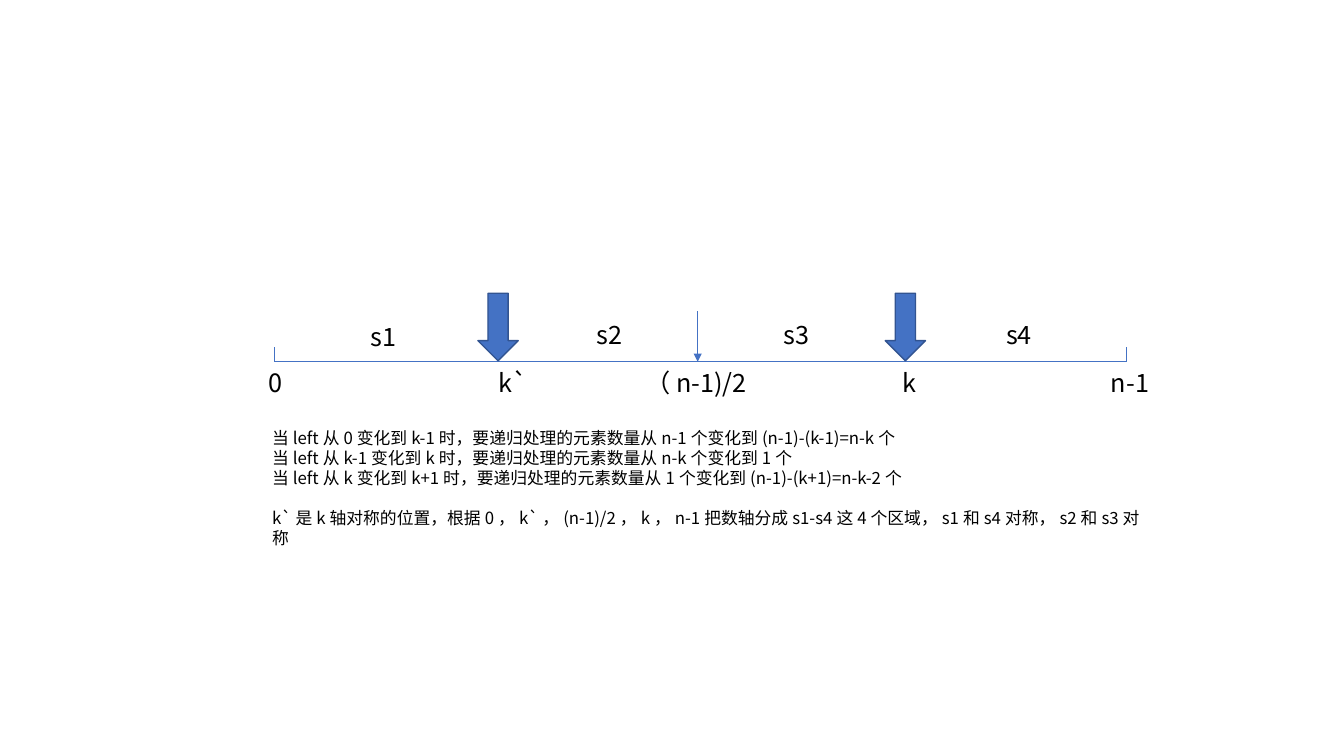
import lxml.etree
import pptx
import pptx.dml.color
import pptx.enum.shapes
import pptx.enum.text
import pptx.oxml.ns
import pptx.util

PX = 9144
FONT = "Noto Sans CJK SC"
HUES = {"blue": "4472C4", "edge": "325491", "ink": "000000"}
FRAME = {"word_wrap": True,
         "auto_size": pptx.enum.text.MSO_AUTO_SIZE.SHAPE_TO_FIT_TEXT}
NOTES = [
    "当left从0变化到k-1时，要递归处理的元素数量从n-1个变化到(n-1)-(k-1)=n-k个",
    "当left从k-1变化到k时，要递归处理的元素数量从n-k个变化到1个",
    "当left从k变化到k+1时，要递归处理的元素数量从1个变化到(n-1)-(k+1)=n-k-2个",
    "k`是k轴对称的位置，根据0，k`，(n-1)/2，k，n-1把数轴分成s1-s4这4个区域，s1和s4对称，s2和s3对称",
]


def emu(*nums):
    """Turn px lengths into EMU."""
    return [num * PX for num in nums]


def hue(name):
    """Give a named colour."""
    return pptx.dml.color.RGBColor.from_string(HUES[name])


def add_sub(node, tag, **attrs):
    """Append a drawing element to a node."""
    lxml.etree.SubElement(node, pptx.oxml.ns.qn(tag), **attrs)


def add_text(slide, box, lines, size):
    """Write lines as paragraphs in a text box and return its frame."""
    frame = slide.shapes.add_textbox(*emu(*box)).text_frame
    for key, val in FRAME.items():
        setattr(frame, key, val)
    frame.text = "\n".join(lines)
    for para in frame.paragraphs:
        for run in para.runs:
            for key, val in {"size": pptx.util.Pt(size), "name": FONT}.items():
                setattr(run.font, key, val)
            run.font.color.rgb = hue("ink")
            add_sub(run.font._element, "a:ea", typeface=FONT)
    return frame


def add_line(slide, ends, head=False):
    """Draw a thin line, with an arrowhead at its end if asked."""
    kind = pptx.enum.shapes.MSO_CONNECTOR.STRAIGHT
    link = slide.shapes.add_connector(kind, *emu(*ends))
    link.line.color.rgb = hue("blue")
    link.line.width = pptx.util.Pt(0.5)
    if head:
        add_sub(link.line._get_or_add_ln(), "a:tailEnd", type="triangle")
    add_sub(link._element.spPr, "a:effectLst")


def add_arrow(slide, box):
    """Draw a block arrow that points down."""
    kind = pptx.enum.shapes.MSO_SHAPE.DOWN_ARROW
    arrow = slide.shapes.add_shape(kind, *emu(*box))
    arrow.shadow.inherit = False
    arrow.fill.solid()
    arrow.fill.fore_color.rgb = hue("blue")
    arrow.line.color.rgb = hue("edge")
    arrow.line.width = pptx.util.Pt(1)


def add_axis(slide, left, top, width, height):
    """Draw the number axis along the bottom of its box."""
    right, base = left + width, top + height
    mid = left + 420
    add_line(slide, (left, base, right, base))
    for end in (left, right):
        add_line(slide, (end, base, end, base - 15))
    add_line(slide, (mid, base - 50, mid, base), head=True)
    for shift in (202, 606):
        add_arrow(slide, (left + shift, top, 40, height - 1))
    marks = [("0", -16, 0, 32), ("k`", 213, 0, 72), ("（n-1)/2", 358, 0, 126),
             ("k", 613, 0, 72), ("n-1", 820, 0, 72), ("s1", 86, -45, 72),
             ("s2", 310, -47, 72), ("s3", 495, -47, 72), ("s4", 716, -47, 72)]
    for word, shift, rise, wide in marks:
        add_text(slide, (left + shift, base + rise, wide, 40), [word], 18)


def add_notes(slide, *box):
    """Write the explanation, its last paragraph set apart."""
    frame = add_text(slide, box, NOTES, 12)
    frame.paragraphs[-1].space_before = pptx.util.Pt(14.4)


def main():
    """Build and save the slide."""
    deck = pptx.Presentation()
    deck.slide_width, deck.slide_height = emu(1333, 750)
    slide = deck.slides.add_slide(deck.slide_layouts[6])
    add_axis(slide, 272, 291, 845, 68)
    add_notes(slide, 260, 419, 889, 111)
    deck.save("out.pptx")


if __name__ == "__main__":
    main()
